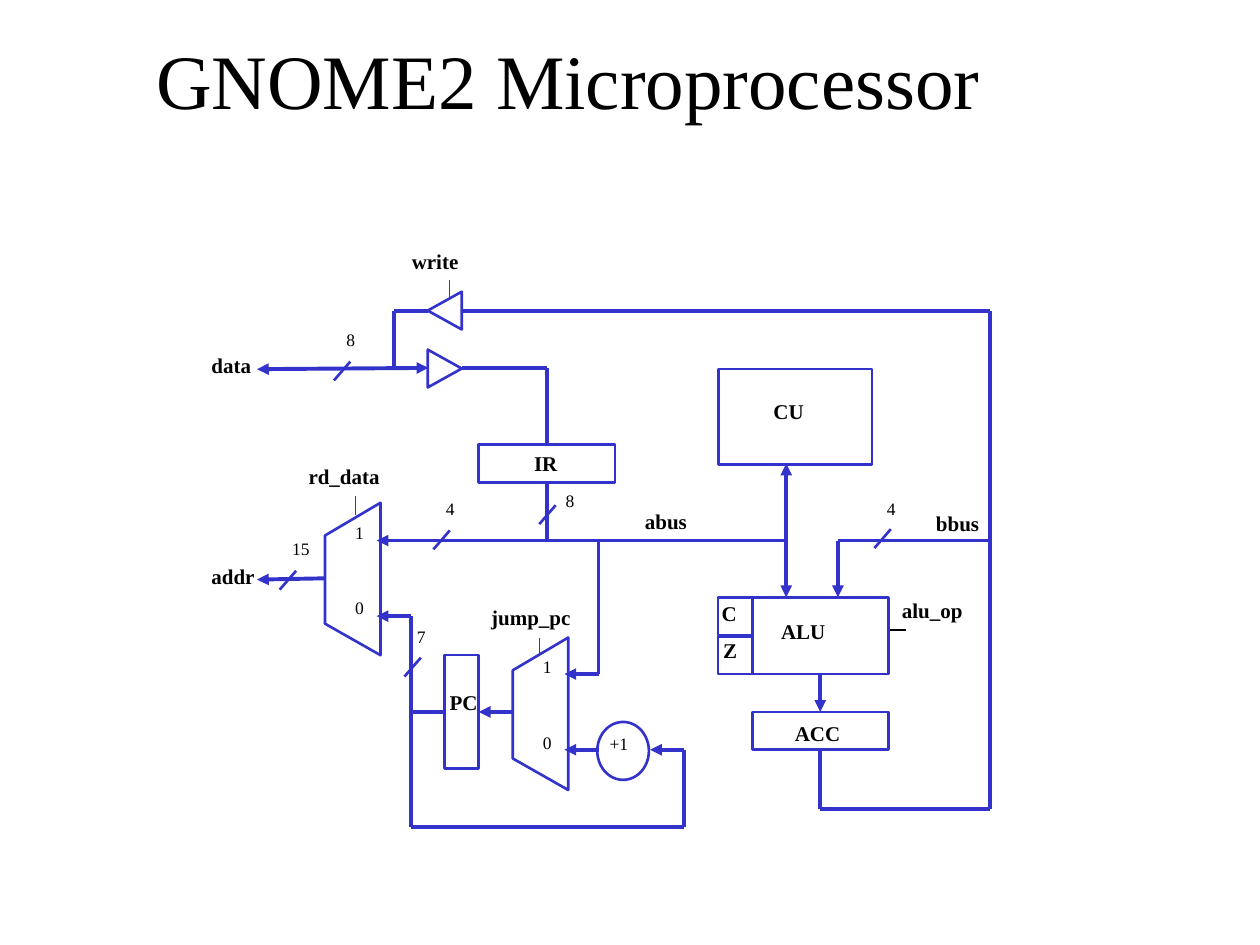
from itertools import pairwise

from lxml import etree
from pptx import Presentation, util as u
from pptx.dml.color import RGBColor
from pptx.enum import shapes, text
from pptx.oxml.ns import qn

COLORS = {"wire": "3333CC", "ink": "000000"}
FONT = "Times New Roman"
TITLE = "GNOME2 Microprocessor"

# All coordinates below are in inches on the 10 x 7.5 slide.
BLOCKS = {  # left, top, width, height
    "CU": (5.7, 2.93, 1.22, 0.76),
    "ALU": (5.97, 4.74, 1.08, 0.61),
    "ACC": (5.97, 5.65, 1.08, 0.3),
    "C": (5.7, 4.74, 0.27, 0.3),
    "Z": (5.7, 5.05, 0.27, 0.3),
    "PC": (3.53, 5.2, 0.27, 0.9),
    "IR": (3.8, 3.53, 1.08, 0.3),
}
INCREMENT = (4.74, 5.73, 0.41, 0.46)
BUFFERS = [(3.38, 2.33, 270), (3.38, 2.79, 90)]  # left, top, rotation
MUXES = [(2.58, 3.99), (4.07, 5.06)]
MUX_OUTLINE = [(0.44, 0), (0.44, 1.21), (0, 0.96), (0, 0.26)]
MUX_INPUTS = [("1", 0.14, 0.1), ("0", 0.14, 0.7)]

# corner points, arrows at (start, end), block side joined at start, at end
TOP, LEFT, BOTTOM, RIGHT = range(4)
WIRES = [
    ([(6.24, 4.29), (6.24, 4.74)], (0, 1), None, None),
    ([(6.24, 4.29), (6.24, 3.68)], (0, 1), None, None),
    ([(6.24, 4.29), (2.99, 4.29)], (0, 1), None, None),
    ([(4.75, 4.29), (4.75, 5.35), (4.48, 5.35)], (0, 1), None, None),
    ([(4.34, 3.83), (4.34, 4.29)], (0, 0), ("IR", BOTTOM), None),
    ([(7.86, 4.29), (6.65, 4.29), (6.65, 4.74)], (0, 1), None, None),
    ([(3.67, 2.47), (7.86, 2.47), (7.86, 4.3), (7.86, 6.42), (6.51, 6.42),
      (6.51, 5.95)], (0, 0), None, ("ACC", BOTTOM)),
    ([(6.51, 5.35), (6.51, 5.65)], (0, 1), ("ALU", BOTTOM), ("ACC", TOP)),
    ([(4.07, 5.65), (3.8, 5.65)], (0, 1), None, ("PC", RIGHT)),
    ([(3.53, 5.65), (3.26, 5.65)], (0, 0), ("PC", LEFT), None),
    ([(3.26, 5.65), (3.26, 6.56), (5.43, 6.56), (5.43, 5.95), (5.16, 5.95)],
     (0, 1), None, None),
    ([(4.75, 5.95), (4.48, 5.95)], (0, 1), None, None),
    ([(3.26, 5.65), (3.26, 4.89), (2.99, 4.89)], (0, 1), None, None),
    ([(2.58, 4.59), (2.04, 4.6)], (0, 1), None, None),
    ([(3.67, 2.92), (4.34, 2.92), (4.34, 3.53)], (0, 0), None, ("IR", TOP)),
    ([(3.4, 2.47), (3.13, 2.47), (3.13, 2.92)], (0, 0), None, None),
    ([(3.4, 2.92), (2.04, 2.93)], (1, 1), None, None),
]
CONTROLS = [(2.82, 3.94), (3.57, 2.22), (4.28, 5.06)]  # top of each stub
STUB = 0.15
ALU_OP_STUB = [(7.19, 5), (7.06, 5)]

# bus width, lower left end of its slash, offset of the number from there
BUS_WIDTHS = [
    ("8", 2.65, 3.02, 0, -0.46),
    ("4", 6.94, 4.35, 0, -0.45),
    ("8", 4.28, 4.16, 0.11, -0.32),
    ("4", 3.44, 4.36, 0, -0.46),
    ("7", 3.21, 5.37, 0, -0.45),
    ("15", 2.22, 4.68, 0, -0.46),
]
LABELS = [  # text, left, top, width
    ("CU", 6.04, 3.11, 0.54), ("ALU", 6.1, 4.86, 0.81),
    ("ACC", 6.21, 5.67, 0.68), ("IR", 4.14, 3.53, 0.54),
    ("PC", 3.47, 5.42, 0.54), ("C", 5.63, 4.72, 0.54),
    ("Z", 5.64, 5.01, 0.54), ("rd_data", 2.35, 3.63, 0.95),
    ("write", 3.17, 1.92, 0.81), ("alu_op", 7.06, 4.69, 0.95),
    ("abus", 5.02, 3.99, 0.81), ("bbus", 7.33, 4, 0.81),
    ("jump_pc", 3.8, 4.75, 0.95), ("addr", 1.58, 4.42, 0.68),
    ("data", 1.58, 2.75, 0.68),
]


def cm(*inches):
    return [u.Cm(v * 2.54) for v in inches]


def color(name):
    return RGBColor.from_string(COLORS[name])


def style_text(tf, size, bold=False):
    font = tf.paragraphs[0].runs[0].font
    font.name, font.size, font.bold = FONT, u.Pt(size), bold
    font.color.rgb = color("ink")


def label(s, words, left, top, width=0.54, size=10, bold=False):
    tf = s.shapes.add_textbox(*cm(left, top, width, 0.45)).text_frame
    tf.word_wrap = True
    tf.text = words
    style_text(tf, size, bold)


def outline(sp):
    sp.shadow.inherit = False
    sp.fill.background()
    sp.line.color.rgb = color("wire")
    sp.line.width = u.Pt(1.5)
    return sp


def add_block(s, kind, box):
    return outline(s.shapes.add_shape(kind, *cm(*box)))


def add_line(s, start, end, width, arrows=(0, 0), ink="wire"):
    c = s.shapes.add_connector(shapes.MSO_CONNECTOR.STRAIGHT, *cm(*start, *end))
    c.line.color.rgb = color(ink)
    c.line.width = u.Pt(width)
    spPr = c._element.spPr
    ln = spPr.find(qn("a:ln"))
    for tag, arrow in zip(("a:headEnd", "a:tailEnd"), arrows):
        if arrow:
            etree.SubElement(ln, qn(tag), type="triangle")
    etree.SubElement(spPr, qn("a:effectLst"))
    return c


def add_wire(s, blocks, points, arrows, start, end):
    """Draw one straight connector per leg; arrows and joins go on the outer ends."""
    legs = list(pairwise(points))
    last = len(legs) - 1
    for i, (a, b) in enumerate(legs):
        heads = (arrows[0] and i == 0, arrows[1] and i == last)
        c = add_line(s, a, b, 2.25, heads)
        if start and i == 0:
            c.begin_connect(blocks[start[0]], start[1])
        if end and i == last:
            c.end_connect(blocks[end[0]], end[1])


def add_mux(s, left, top):
    points = [cm(left + dx, top + dy) for dx, dy in MUX_OUTLINE]
    builder = s.shapes.build_freeform(*points[0])
    builder.add_line_segments(points[1:], close=True)
    outline(builder.convert_to_shape())
    for words, dx, dy in MUX_INPUTS:
        label(s, words, left + dx, top + dy)


def main():
    prs = Presentation()
    prs.slide_width, prs.slide_height = cm(10, 7.5)
    s = prs.slides.add_slide(prs.slide_layouts[5])

    title = s.shapes.title
    title.left, title.top, title.width, title.height = cm(0.26, 0, 8.5, 1.25)
    tf = title.text_frame
    tf.text = TITLE
    tf.vertical_anchor = text.MSO_ANCHOR.MIDDLE
    tf.paragraphs[0].alignment = text.PP_ALIGN.CENTER
    style_text(tf, 44)

    kind = shapes.MSO_SHAPE
    blocks = {name: add_block(s, kind.RECTANGLE, box) for name, box in BLOCKS.items()}
    add_block(s, kind.OVAL, INCREMENT)
    label(s, "+1", 4.74, 5.77)
    for left, top, rotation in BUFFERS:
        add_block(s, kind.ISOSCELES_TRIANGLE, (left, top, 0.3, 0.27)).rotation = rotation
    for mux in MUXES:
        add_mux(s, *mux)

    for wire in WIRES:
        add_wire(s, blocks, *wire)
    for x, y in CONTROLS:
        add_line(s, (x, y), (x, y + STUB), 0.75)
    add_line(s, *ALU_OP_STUB, 0.75, ink="ink")

    for words, x, y, dx, dy in BUS_WIDTHS:
        add_line(s, (x + 0.13, y - 0.15), (x, y), 1.5)
        label(s, words, x + dx, y + dy)
    for words, left, top, width in LABELS:
        label(s, words, left, top, width, size=12, bold=True)

    prs.save("out.pptx")


if __name__ == "__main__":
    main()
